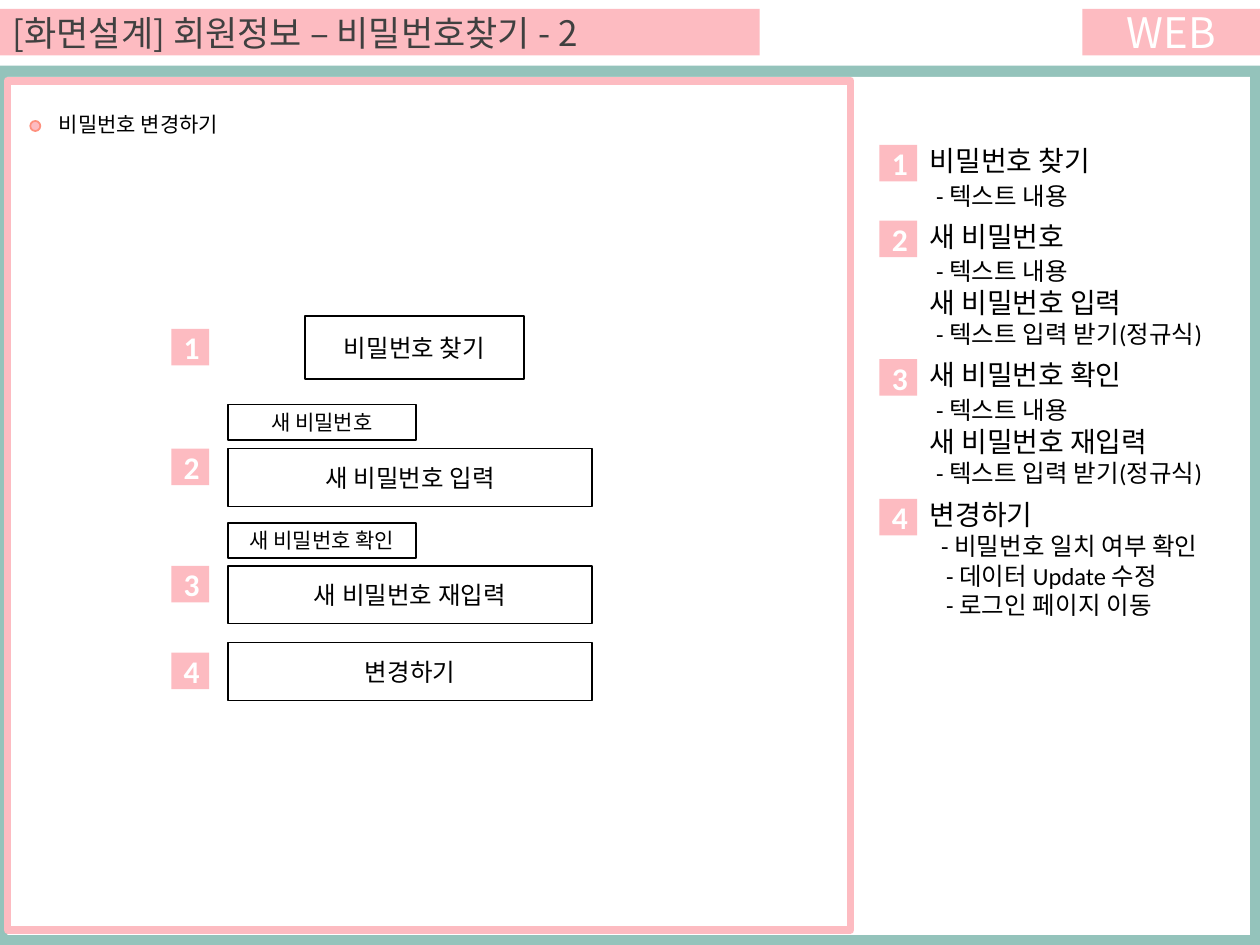
from lxml.etree import SubElement
from pptx import Presentation
from pptx.dml.color import RGBColor
from pptx.enum.shapes import MSO_SHAPE
from pptx.enum.text import MSO_ANCHOR, MSO_AUTO_SIZE, PP_ALIGN
from pptx.oxml.ns import qn
from pptx.util import Inches, Pt

COLS, ROWS = 100, 75
HEX = {"pink": "FDBBC1", "mint": "94C3BB", "coral": "FE907E",
       "white": "FFFFFF", "black": "000000", "gray": "404040"}
NOTES = [
    (11.5, 6.4, ["비밀번호 찾기", "- 텍스트 내용"]),
    (17.5, 11.4, ["새 비밀번호", "- 텍스트 내용", "새 비밀번호 입력", "- 텍스트 입력 받기(정규식)"]),
    (28.5, 11.4, ["새 비밀번호 확인", "- 텍스트 내용", "새 비밀번호 재입력", "- 텍스트 입력 받기(정규식)"]),
    (39.6, 10.8, ["변경하기", "- 비밀번호 일치 여부 확인", "- 데이터 Update 수정", "- 로그인 페이지 이동"]),
]
FIELDS = [
    (10.6, 15, 17.4, 5, "비밀번호 찾기", 14),
    (4.5, 22, 14.9, 2.8, "새 비밀번호", 12),
    (4.5, 25.5, 28.9, 4.6, "새 비밀번호 입력", 14),
    (4.5, 31.4, 14.9, 2.8, "새 비밀번호 확인", 12),
    (4.5, 34.8, 28.9, 4.6, "새 비밀번호 재입력", 14),
    (4.5, 40.9, 28.9, 4.6, "변경하기", 14),
]
MARKS = [16, 25.5, 34.8, 41.7]


def rgb(name):
    """Look up a colour by name."""
    return RGBColor.from_string(HEX[name])


def span(*cells):
    """Turn grid cells into lengths."""
    return [Inches(cell / 10) for cell in cells]


def write(para, text, size=14, font="Calibri", color="black", bold=False,
          align=PP_ALIGN.LEFT, inset=0, before=0):
    """Put formatted text in a paragraph."""
    props = para._p.get_or_add_pPr()
    props.set("marL", str(Inches(inset)))
    props.set("indent", "0")
    para.alignment = align
    para.space_before = Pt(before)
    SubElement(props, qn("a:buNone"))
    run = para.add_run()
    run.text = text
    run.font.size, run.font.name, run.font.bold = Pt(size), font, bold
    run.font.color.rgb = rgb(color)
    SubElement(run.font._element, qn("a:ea")).set("typeface", font)


def block(slide, box, fill=None, line=None, width=1, text=None,
          kind=MSO_SHAPE.RECTANGLE, **form):
    """Draw a filled or outlined shape with centred text."""
    shape = slide.shapes.add_shape(kind, *span(*box))
    shape.shadow.inherit = False
    if fill:
        shape.fill.solid()
        shape.fill.fore_color.rgb = rgb(fill)
    else:
        shape.fill.background()
    if line:
        shape.line.color.rgb = rgb(line)
        shape.line.width = Pt(width)
    else:
        shape.line.fill.background()
    if text:
        frame = shape.text_frame
        frame.word_wrap = True
        frame.vertical_anchor = MSO_ANCHOR.MIDDLE
        write(frame.paragraphs[0], text, align=PP_ALIGN.CENTER, **form)


def place(slide, holder, box, anchor):
    """Move a placeholder to a box, in front of what is drawn."""
    holder.left, holder.top, holder.width, holder.height = span(*box)
    slide.shapes.element.append(holder.element)
    frame = holder.text_frame
    frame.word_wrap = True
    frame.auto_size = MSO_AUTO_SIZE.NONE
    frame.vertical_anchor = anchor
    return frame


def badge(slide, left, top, num):
    """Draw a numbered marker."""
    block(slide, (left, top, 3, 2.9), "pink", text=str(num), size=18,
          color="white", bold=True)


def header(slide, box):
    """Fill the title bar and the tag at its right."""
    x, y, w, h = box
    title = slide.shapes.title
    title.fill.solid()
    title.fill.fore_color.rgb = rgb("pink")
    frame = place(slide, title, (x, y, w * 0.603, h), MSO_ANCHOR.MIDDLE)
    write(frame.paragraphs[0], "[화면설계] 회원정보 – 비밀번호찾기 - 2", size=20,
          font="Noto Sans CJK KR", color="gray")
    block(slide, (x + w * 0.859, y, w * 0.141, h), "pink", text="WEB", size=24,
          font="Noto Sans CJK KR", color="white")


def border(slide, box):
    """Draw the page frame."""
    x, y, w, h = box
    block(slide, box, "mint")
    block(slide, (x + 0.6, y + 0.9, w - 1.4, h - 1.7), "white")
    block(slide, (x + 0.6, y + 1.2, w * 0.669, h - 2.4), line="pink", width=4.5)


def screen(slide, box):
    """Draw the form mock-up with its markers."""
    x, y, w, h = box
    block(slide, (x + 2.4, y - 0.5, 0.8, 0.8), "pink", "coral", kind=MSO_SHAPE.OVAL)
    label = slide.shapes.add_textbox(*span(x + 3.3, y - 1.7, w * 0.58, 3))
    label.text_frame.word_wrap = True
    write(label.text_frame.paragraphs[0], "비밀번호 변경하기", size=12, inset=0.04)
    for num, top in enumerate(MARKS, 1):
        badge(slide, x + 13.6, y + top, num)
    for left, top, wide, high, text, size in FIELDS:
        block(slide, (x + 13.6 + left, y + top, wide, high), "white", "black",
              text=text, size=size)


def notes(slide, box, bodies):
    """Fill the numbered description lists."""
    x, y, w, h = box
    for num, (body, (top, high, lines)) in enumerate(zip(bodies, NOTES), 1):
        badge(slide, x, y + top, num)
        frame = place(slide, body, (x + 3, y + top - 0.6, w - 3, high), MSO_ANCHOR.TOP)
        last = num == len(NOTES)
        for row, text in enumerate(lines):
            para = frame.add_paragraph() if row else frame.paragraphs[0]
            sub = text.startswith("-")
            inset = 0.05 * sub if not last else (0, 0.09, 0.13, 0.13)[row]
            write(para, text, size=14 if sub else 16, inset=inset,
                  before=2 if row == 1 and not last else 0)


def main():
    """Build the page."""
    deck = Presentation()
    deck.slide_width, deck.slide_height = span(COLS, ROWS)
    slide = deck.slides.add_slide(deck.slide_layouts[4])
    bodies = [item for item in slide.placeholders if item.placeholder_format.idx in range(1, 5)]
    border(slide, (0, 5.2, COLS, ROWS - 5.2))
    header(slide, (0, 0.7, COLS, 3.7))
    screen(slide, (0, 10.1, 66.9, 63.7))
    notes(slide, (69.8, 0, 29.5, ROWS), bodies)
    deck.save("out.pptx")


if __name__ == "__main__":
    main()
